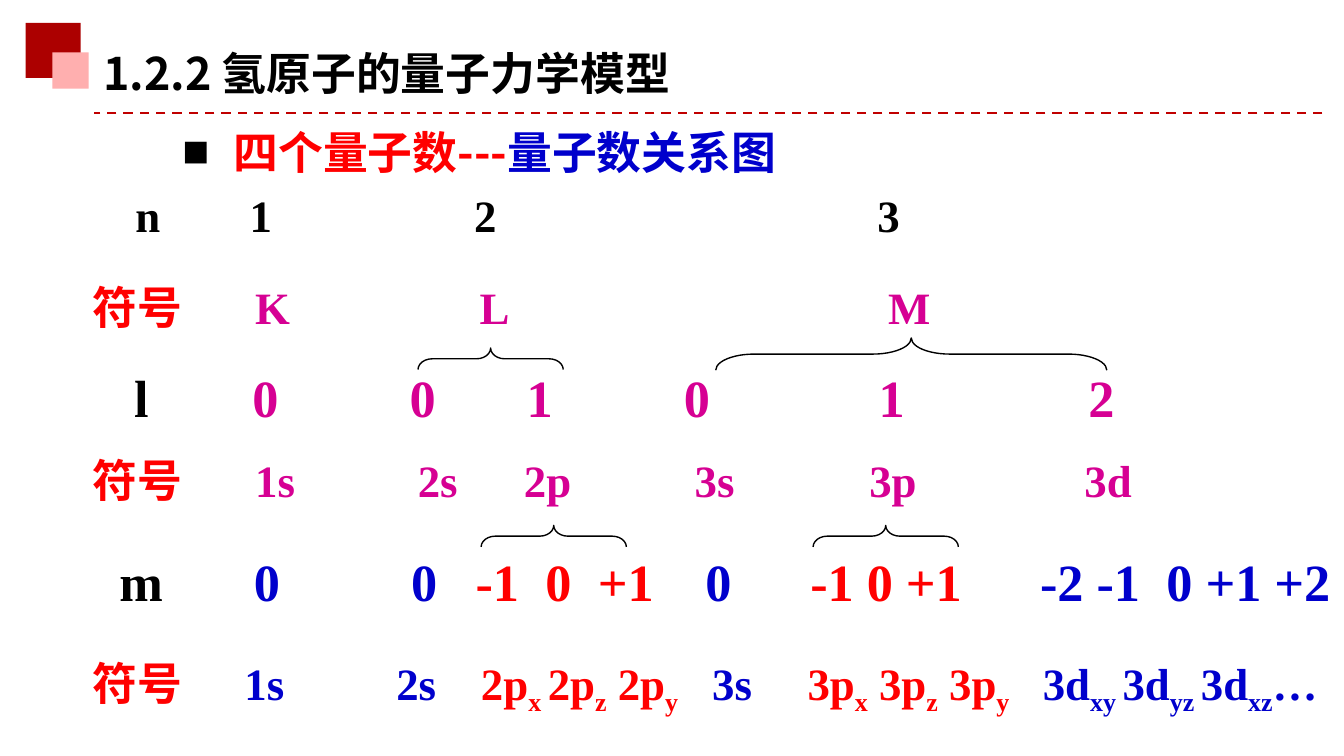
from lxml import etree
from pptx import Presentation
from pptx.dml.color import RGBColor
from pptx.enum.dml import MSO_LINE_DASH_STYLE as Dash
from pptx.enum.shapes import MSO_CONNECTOR, MSO_SHAPE
from pptx.oxml.ns import qn
from pptx.util import Inches, Pt

BLACK = RGBColor(0x00, 0x00, 0x00)
RED = RGBColor(0xFF, 0x00, 0x00)
BLUE = RGBColor(0x00, 0x00, 0xCC)
MAGENTA = RGBColor(0xD6, 0x00, 0x93)
DARK_RED = RGBColor(0xAC, 0x00, 0x00)
PINK = RGBColor(0xFF, 0xAF, 0xAF)
RULE_RED = RGBColor(0xC0, 0x00, 0x00)

SANS = "Noto Sans CJK SC"
SERIF = "Times New Roman"
SLIDE_WIDTH = 10
SLIDE_HEIGHT = SLIDE_WIDTH * 9 / 16
INSET = 0.1

# Each row: left, top, width, height, size, cells of (x on the slide, text, colour).
# In a cell, every second piece between bars is a subscript.
ROWS = [
    (0.66, 1.35, 7.3, 0.51, 24, [
        (1.01, "n", BLACK), (1.86, "1", BLACK), (3.53, "2", BLACK), (6.53, "3", BLACK)]),
    (0.59, 2.03, 6.89, 0.51, 24, [
        (0.69, "符号", RED), (1.9, "K", MAGENTA), (3.57, "L", MAGENTA),
        (6.61, "M", MAGENTA)]),
    (0.9, 2.67, 7.73, 0.57, 28, [
        (1.0, "l", BLACK), (1.88, "0", MAGENTA), (3.05, "0", MAGENTA),
        (3.92, "1", MAGENTA), (5.09, "0", MAGENTA), (6.54, "1", MAGENTA),
        (8.1, "2", MAGENTA)]),
    (0.59, 3.32, 8.43, 0.51, 24, [
        (0.69, "符号", RED), (1.9, "1s", MAGENTA), (3.11, "2s", MAGENTA),
        (3.9, "2p", MAGENTA), (5.17, "3s", MAGENTA), (6.47, "3p", MAGENTA),
        (8.07, "3d", MAGENTA)]),
    (0.59, 4.04, 9.45, 0.57, 28, [
        (0.89, "m", BLACK), (1.89, "0", BLUE), (3.06, "0", BLUE),
        (3.54, "-1", RED), (4.06, "0", RED), (4.45, "+1", RED),
        (5.25, "0", BLUE), (6.03, "-1 0 +1", RED),
        (7.74, "-2 -1", BLUE), (8.68, "0 +1 +2", BLUE)]),
    (0.59, 4.83, 9.41, 0.51, 24, [
        (0.69, "符号", RED), (1.82, "1s", BLUE), (2.95, "2s", BLUE),
        (3.58, "2p|x |2p|z| 2p|y", RED), (5.3, "3s", BLUE),
        (6.01, "3p|x| 3p|z| 3p|y", RED),
        (7.76, "3d|xy |3d|yz |3d|xz|…", BLUE)]),
]

# Left, top, width, height before the quarter turn, and curl of the ends.
BRACES = [
    (3.57, 2.13, 0.16, 1.08, 0.66),
    (6.66, 1.18, 0.24, 2.91, 1.19),
    (4.04, 3.45, 0.16, 1.08, 0.66),
    (6.51, 3.45, 0.16, 1.08, 0.66),
]


def add_text_box(slide, left, top, width, height):
    """Add an empty wrapping text box and return its first paragraph."""
    box = slide.shapes.add_textbox(*map(Inches, (left, top, width, height)))
    box.text_frame.word_wrap = True
    return box.text_frame.paragraphs[0]


def add_run(p, text, size, color, font=SERIF, subscript=False):
    r = p.add_run()
    r.text = text
    r.font.size = Pt(size)
    r.font.bold = True
    r.font.name = font
    r.font.color.rgb = color
    rPr = r.font._element
    etree.SubElement(rPr, qn("a:ea")).set("typeface", SANS)
    if subscript:
        rPr.set("baseline", "-25000")


def add_tab_stops(p, positions):
    tabs = etree.SubElement(p._p.get_or_add_pPr(), qn("a:tabLst"))
    for x in positions:
        tab = etree.SubElement(tabs, qn("a:tab"))
        tab.set("pos", str(Inches(x)))
        tab.set("algn", "l")


def add_row(slide, left, top, width, height, size, cells):
    """Add one line of the diagram, with each cell held by a tab stop."""
    p = add_text_box(slide, left, top, width, height)
    start = left + INSET
    add_tab_stops(p, [round(x - start, 2) for x, _, _ in cells if x - start > 0.01])
    for x, text, color in cells:
        lead = "\t" if x - start > 0.01 else ""
        for i, piece in enumerate((lead + text).split("|")):
            add_run(p, piece, size, color, subscript=i % 2 == 1)


def add_square(slide, left, top, side, color):
    s = slide.shapes.add_shape(
        MSO_SHAPE.RECTANGLE, Inches(left), Inches(top), Inches(side), Inches(side))
    s.shadow.inherit = False
    s.fill.solid()
    s.fill.fore_color.rgb = color
    s.line.fill.background()


def add_brace(slide, left, top, width, height, curl):
    s = slide.shapes.add_shape(
        MSO_SHAPE.LEFT_BRACE, *map(Inches, (left, top, width, height)))
    s.shadow.inherit = False
    s.rotation = 90
    s.adjustments[0] = curl
    s.fill.background()
    s.line.color.rgb = BLACK
    s.line.width = Pt(0.75)


def add_dashed_rule(slide):
    line = slide.shapes.add_connector(
        MSO_CONNECTOR.STRAIGHT, Inches(9.84), Inches(0.84), Inches(0.7), Inches(0.84))
    line.line.color.rgb = RULE_RED
    line.line.width = Pt(1.25)
    line.line.dash_style = Dash.DASH
    etree.SubElement(line._element.spPr, qn("a:effectLst"))


def add_title(slide):
    p = add_text_box(slide, 0.67, 0.29, 6.06, 0.5)
    add_run(p, "1.2.2 ", 24, BLACK, SANS)
    add_run(p, "氢原子的量子力学模型", 24, BLACK)


def add_subtitle(slide):
    p = add_text_box(slide, 1.26, 0.88, 5.57, 0.51)
    pPr = p._p.get_or_add_pPr()
    pPr.set("marL", str(Inches(0.38)))
    pPr.set("indent", str(Inches(-0.38)))
    color = etree.SubElement(pPr, qn("a:buClr"))
    etree.SubElement(color, qn("a:srgbClr")).set("val", str(BLACK))
    etree.SubElement(pPr, qn("a:buFont")).set("typeface", SERIF)
    etree.SubElement(pPr, qn("a:buChar")).set("char", "■")
    add_run(p, "四个量子数---", 24, RED, SANS)
    add_run(p, "量子数关系图", 24, BLUE, SANS)


def main():
    prs = Presentation()
    prs.slide_width = Inches(SLIDE_WIDTH)
    prs.slide_height = Inches(SLIDE_HEIGHT)
    slide = prs.slides.add_slide(prs.slide_layouts[6])
    add_square(slide, 0.19, 0.17, 0.41, DARK_RED)
    add_square(slide, 0.39, 0.39, 0.27, PINK)
    add_dashed_rule(slide)
    add_title(slide)
    add_subtitle(slide)
    for row in ROWS:
        add_row(slide, *row)
    for brace in BRACES:
        add_brace(slide, *brace)
    prs.save("out.pptx")


if __name__ == "__main__":
    main()
